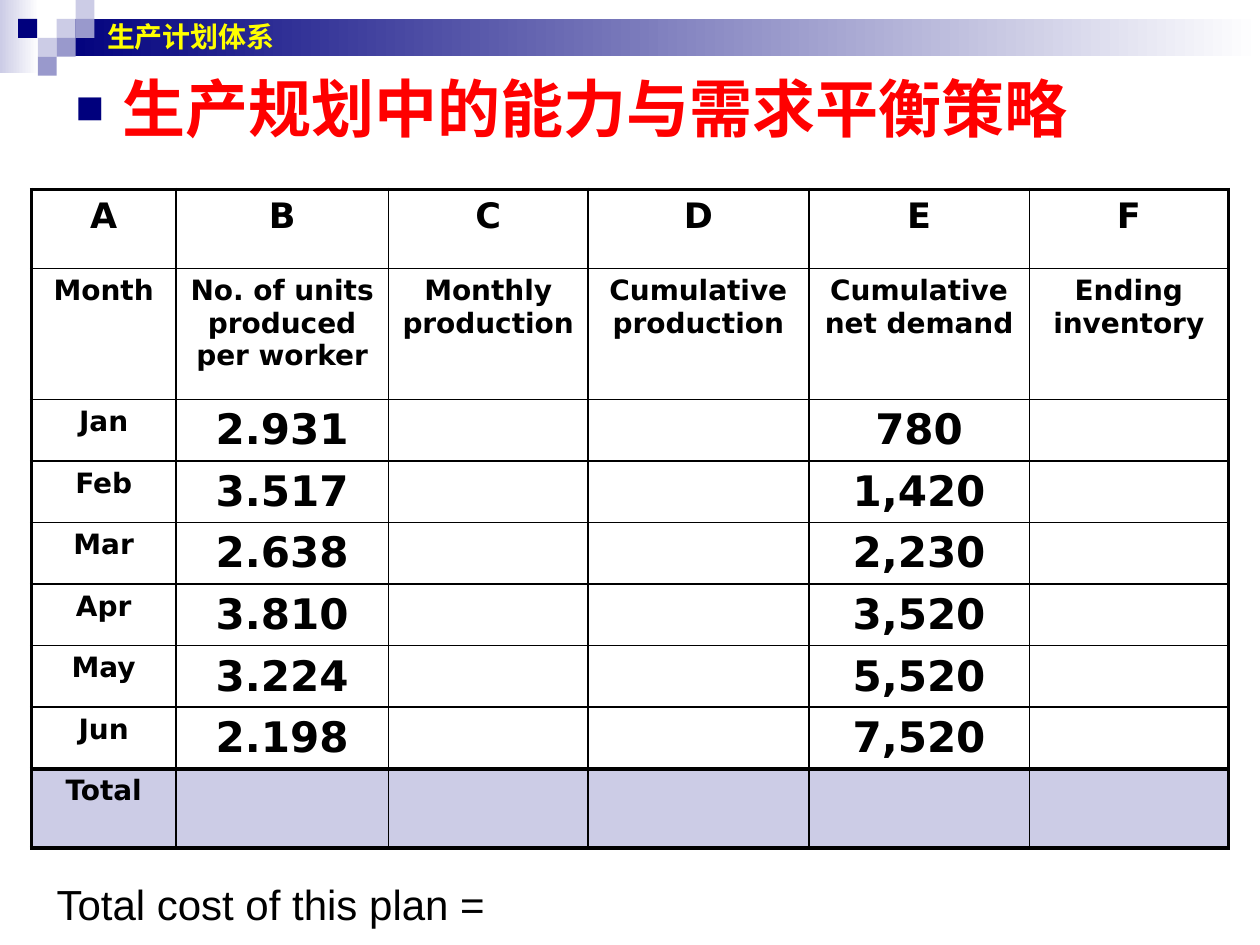
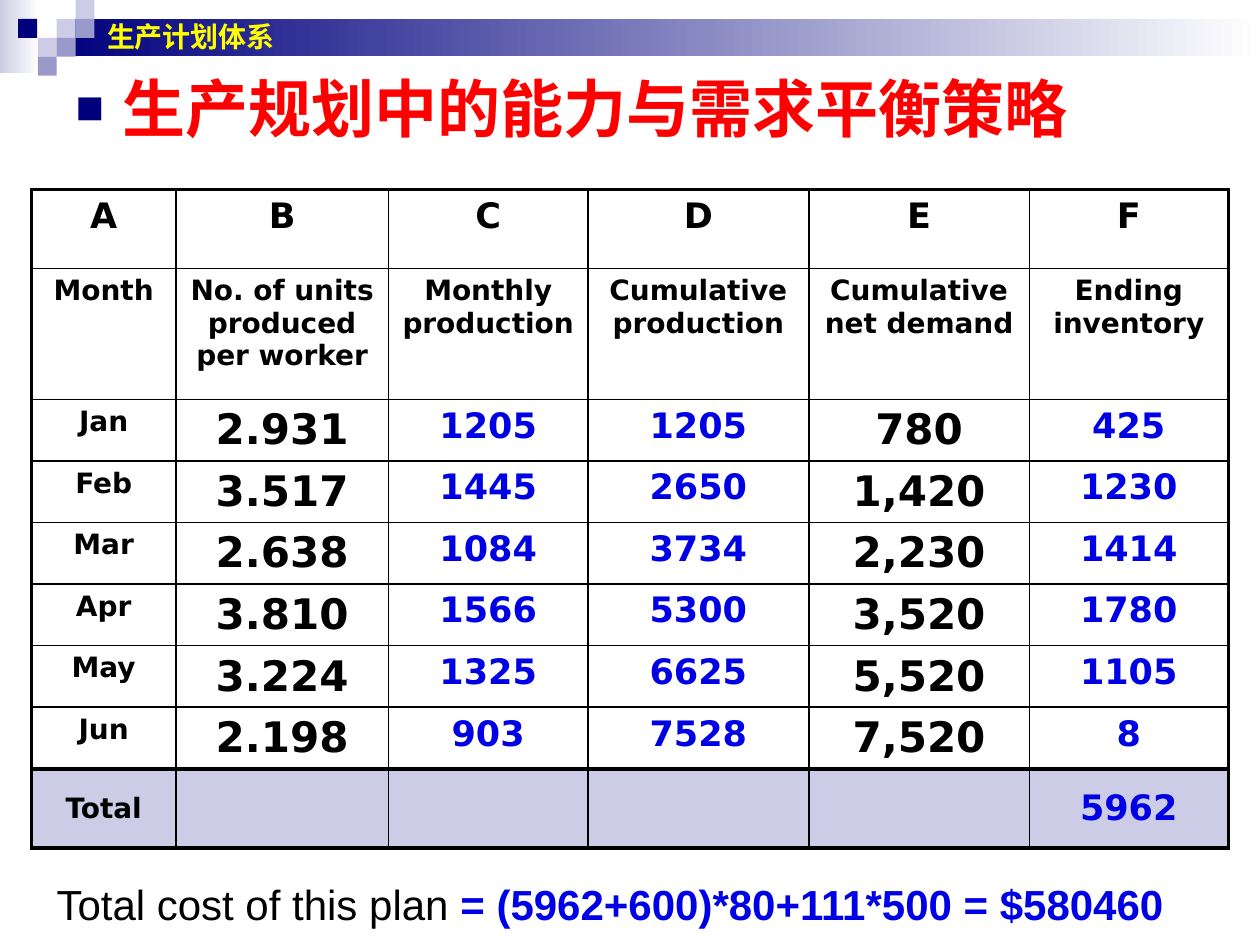
import pptx
import pptx.dml.color
import pptx.enum.shapes
import pptx.enum.text
import pptx.oxml
import pptx.oxml.ns
import pptx.util

Pt = pptx.util.Pt
RGB = pptx.dml.color.RGBColor.from_string
ALIGN = pptx.enum.text.PP_ALIGN
ANCHOR = pptx.enum.text.MSO_ANCHOR
NS = pptx.oxml.ns.nsdecls("a")

COLORS = {
    "navy": "00007D", "lilac": "CCCCE6", "violet": "9999CC", "white": "FFFFFF",
    "black": "000000", "red": "FF0000", "yellow": "FFFF00", "blue": "0000E4",
}
FORMATS = {
    "title": {"name": "Arial", "size": Pt(16), "bold": True, "color": "yellow"},
    "heading": {"name": "Times New Roman", "size": Pt(36), "bold": True, "color": "red"},
    "cost": {"name": "Arial", "size": Pt(24), "bold": False, "color": "black"},
    "cost_result": {"name": "Arial", "size": Pt(24), "bold": True, "color": "blue"},
    "label": {"name": "DejaVu Sans", "size": Pt(16), "bold": True, "color": "black"},
    "letter": {"name": "DejaVu Sans", "size": Pt(20), "bold": True, "color": "black"},
    "given": {"name": "DejaVu Sans", "size": Pt(24), "bold": True, "color": "black"},
    "answer": {"name": "DejaVu Sans", "size": Pt(20), "bold": True, "color": "blue"},
}
COLUMN_FORMATS = ["label", "given", "answer", "answer", "given", "answer"]
COLUMN_WIDTHS = [82.5, 121.5, 114, 126.25, 126, 113.75]
ROW_HEIGHTS = [45.25, 74.75] + [35.15] * 6 + [45.25]
THIN, THICK = 1, 2.25

SQUARE = 10.8
SQUARES = [
    (32.4, 10.8, "lilac"), (43.2, 0, "lilac"), (43.2, 10.8, "violet"),
    (21.6, 21.6, "lilac"), (10.4, 10.8, "navy"), (32.4, 21.6, "violet"),
    (21.6, 32.4, "violet"),
]

HEADERS = ["Month", "No. of units produced per worker", "Monthly production",
           "Cumulative production", "Cumulative net demand", "Ending inventory"]
MONTHS = [("Jan", "2.931", "780"), ("Feb", "3.517", "1,420"), ("Mar", "2.638", "2,230"),
          ("Apr", "3.810", "3,520"), ("May", "3.224", "5,520"), ("Jun", "2.198", "7,520")]
BLANK_PLAN = [("", "", "")] * 6
SOLVED_PLAN = [("1205", "1205", "425"), ("1445", "2650", "1230"), ("1084", "3734", "1414"),
               ("1566", "5300", "1780"), ("1325", "6625", "1105"), ("903", "7528", "8")]

PLANS = [
    {"plan": BLANK_PLAN, "total": "", "anchor": ANCHOR.TOP,
     "cost": [("Total cost of this plan =", "cost")]},
    {"plan": SOLVED_PLAN, "total": "5962", "anchor": ANCHOR.MIDDLE,
     "cost": [("Total cost of this plan ", "cost"),
              ("= (5962+600)*80+111*500 = $580460", "cost_result")]},
]


class Deck:
    """Holds the shared style and the current slide."""

    def __init__(self):
        self.prs = pptx.Presentation()
        self.prs.slide_width, self.prs.slide_height = Pt(720), Pt(540)
        self.slide = None

    def new_slide(self):
        self.slide = self.prs.slides.add_slide(self.prs.slide_layouts[1])

    def add_text(self, p, text, style):
        r = p.add_run()
        r.text = text
        for key, value in FORMATS[style].items():
            if key == "color":
                r.font.color.rgb = RGB(COLORS[value])
            else:
                setattr(r.font, key, value)

    def place(self, sp, box, anchor):
        for key, value in zip(("left", "top", "width", "height"), box):
            setattr(sp, key, Pt(value))
        frame = {"word_wrap": True, "vertical_anchor": anchor,
                 "auto_size": pptx.enum.text.MSO_AUTO_SIZE.NONE}
        for key, value in frame.items():
            setattr(sp.text_frame, key, value)
        p = sp.text_frame.paragraphs[0]
        p.alignment = ALIGN.LEFT
        p.space_before = Pt(0)
        return p

    def rect(self, box, *colors):
        sp = self.slide.shapes.add_shape(
            pptx.enum.shapes.MSO_SHAPE.RECTANGLE, *map(Pt, box))
        sp.shadow.inherit = False
        sp.line.fill.background()
        if len(colors) == 1:
            sp.fill.solid()
            sp.fill.fore_color.rgb = RGB(COLORS[colors[0]])
        else:
            sp.fill.gradient()
            sp.fill.gradient_angle = 0
            for stop, color in zip(sp.fill.gradient_stops, colors):
                stop.color.rgb = RGB(COLORS[color])
        return sp

    def master_band(self):
        parts = [self.rect((0, 0, 22.3, 41.75), "lilac", "white"),
                 self.rect((32.4, 10.8, 687.6, 21.3), "navy", "white")]
        parts += [self.rect((x, y, SQUARE, SQUARE), color) for x, y, color in SQUARES]
        tree = self.prs.slide_master.shapes.element
        for i, sp in enumerate(parts):
            sp.element.xpath("./p:nvSpPr/p:cNvPr")[0].set("id", str(100 + i))
            tree.insert(2 + i, sp.element)

    def title(self, text):
        p = self.place(self.slide.shapes.title, (54, 0, 636, 41.75), ANCHOR.MIDDLE)
        self.add_text(p, text, "title")

    def heading(self, text):
        p = self.place(self.slide.placeholders[1], (36, 36, 648, 108), ANCHOR.TOP)
        pPr = p._p.get_or_add_pPr()
        pPr.set("marL", str(Pt(27)))
        pPr.set("indent", str(Pt(-27)))
        for xml in (f'<a:buClr {NS}><a:srgbClr val="{COLORS["navy"]}"/></a:buClr>',
                    f'<a:buSzPct {NS} val="75000"/>',
                    f'<a:buFont {NS} typeface="Arial"/>',
                    f'<a:buChar {NS} char="■"/>'):
            pPr.append(pptx.oxml.parse_xml(xml))
        self.add_text(p, text, "heading")

    def textbox(self, box, runs):
        sp = self.slide.shapes.add_textbox(*map(Pt, box))
        p = self.place(sp, box, ANCHOR.TOP)
        for text, style in runs:
            self.add_text(p, text, style)

    def borders(self, cell, widths):
        tcPr = cell._tc.get_or_add_tcPr()
        for i, (side, width) in enumerate(zip("LRTB", widths)):
            tcPr.insert(i, pptx.oxml.parse_xml(
                f'<a:ln{side} {NS} w="{Pt(width)}"><a:solidFill>'
                f'<a:srgbClr val="{COLORS["black"]}"/></a:solidFill></a:ln{side}>'))

    def table(self, rows, total_anchor):
        last_row, last_col = len(rows) - 1, len(COLUMN_WIDTHS) - 1
        box = (18, 108.25, sum(COLUMN_WIDTHS), sum(ROW_HEIGHTS))
        table = self.slide.shapes.add_table(
            len(rows), len(COLUMN_WIDTHS), *map(Pt, box)).table
        table.first_row = table.horz_banding = False
        for column, width in zip(table.columns, COLUMN_WIDTHS):
            column.width = Pt(width)
        for i, (row, height) in enumerate(zip(rows, ROW_HEIGHTS)):
            table.rows[i].height = Pt(height)
            for j, text in enumerate(row):
                cell = table.cell(i, j)
                thick = (j == 0, j == last_col, i in (0, last_row), i >= last_row - 1)
                self.borders(cell, [THICK if t else THIN for t in thick])
                if i == last_row:
                    cell.fill.solid()
                    cell.fill.fore_color.rgb = RGB(COLORS["lilac"])
                    cell.vertical_anchor = total_anchor
                else:
                    cell.fill.background()
                if text:
                    p = cell.text_frame.paragraphs[0]
                    p.alignment = ALIGN.CENTER
                    style = {0: "letter", 1: "label"}.get(i, COLUMN_FORMATS[j])
                    self.add_text(p, text, style)


def plan_rows(plan, total):
    rows = [list("ABCDEF"), HEADERS]
    for (month, units, demand), (made, made_total, stock) in zip(MONTHS, plan):
        rows.append([month, units, made, made_total, demand, stock])
    return rows + [["Total", "", "", "", "", total]]


def main():
    deck = Deck()
    for i, content in enumerate(PLANS):
        deck.new_slide()
        if i == 0:
            deck.master_band()
        deck.title("生产计划体系")
        deck.heading("生产规划中的能力与需求平衡策略")
        deck.table(plan_rows(content["plan"], content["total"]), content["anchor"])
        deck.textbox((25.2, 498.25, 663, 36), content["cost"])
    deck.prs.save("out.pptx")


if __name__ == "__main__":
    main()
